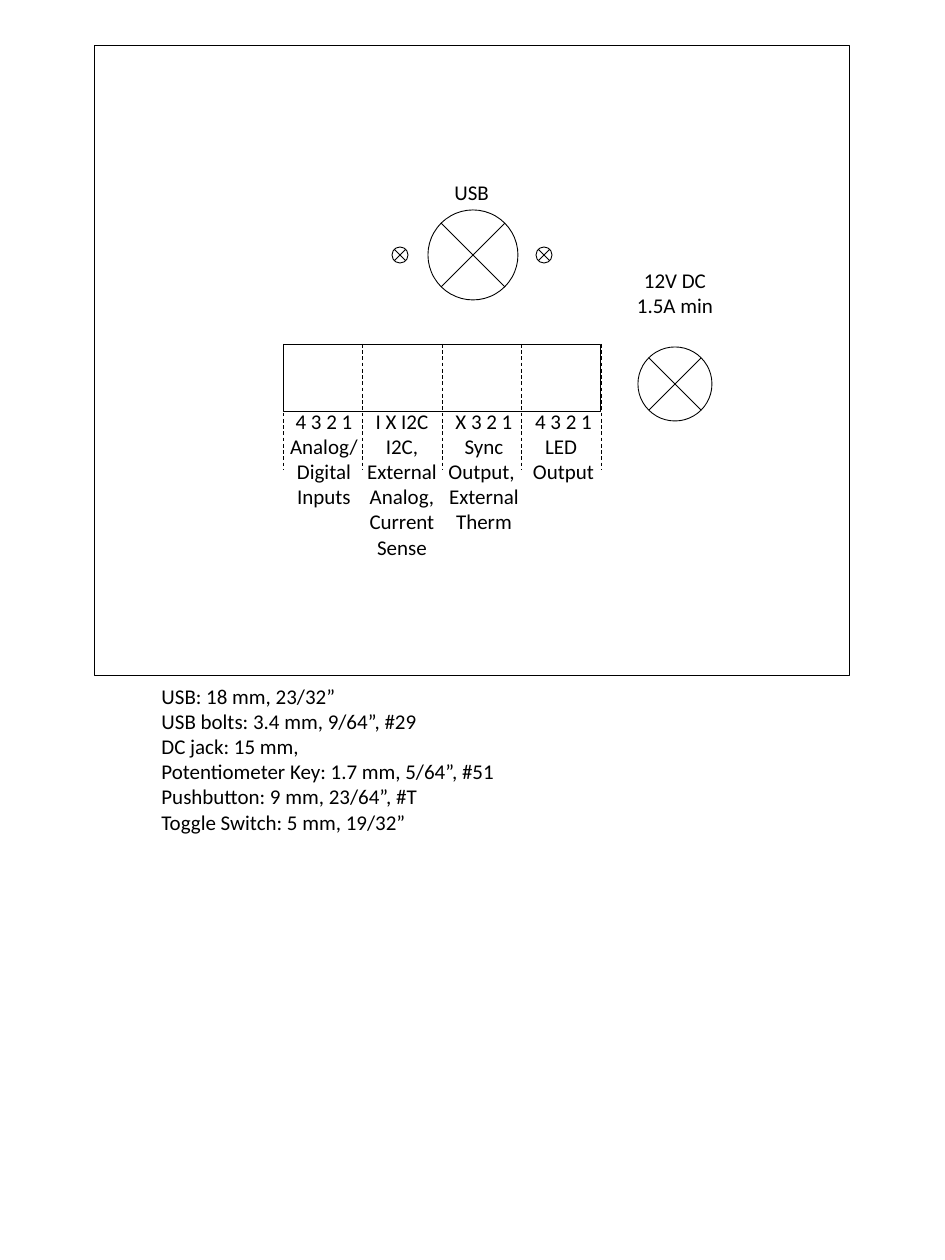
"""Draws the drill plan of a rear panel with its port labels and hole sizes."""
from dataclasses import dataclass
from lxml.etree import SubElement
from pptx import Presentation
from pptx.dml.color import RGBColor
from pptx.enum.dml import MSO_LINE as Dash
from pptx.enum.shapes import MSO_CONNECTOR as Conn, MSO_SHAPE as Kind
from pptx.enum.text import PP_ALIGN as Align
from pptx.oxml.ns import qn
from pptx.util import Pt


@dataclass
class Theme:
    ink: RGBColor = RGBColor(0, 0, 0)
    font: str = "Calibri"
    size: int = 12
    line: float = 0.5


theme = Theme()
PX = 914400 / 126

deck = Presentation()
deck.slide_width, deck.slide_height = round(945 * PX), round(1260 * PX)
slide = deck.slides.add_slide(deck.slide_layouts[6])
shapes = slide.shapes


def draw(kind, *box):
    spots = [round(n * PX) for n in box]
    if isinstance(kind, Kind):
        item = shapes.add_shape(kind, *spots)
        item.shadow.inherit = False
        item.fill.background()
    else:
        item = shapes.add_connector(kind, *spots)
        SubElement(item._element.spPr, qn("a:effectLst"))
    item.line.color.rgb = theme.ink
    item.line.width = Pt(theme.line)
    return item


def write(lines, box, align=Align.CENTER, wrap=True):
    frame = shapes.add_textbox(*(round(n * PX) for n in box)).text_frame
    frame.word_wrap = wrap
    for i, line in enumerate(lines):
        para = frame.add_paragraph() if i else frame.paragraphs[0]
        para.alignment = align
        run = para.add_run()
        run.text = line
        run.font.name = theme.font
        run.font.size = Pt(theme.size)
        run.font.color.rgb = theme.ink


sizes = [
    "USB: 18 mm, 23/32”",
    "USB bolts: 3.4 mm, 9/64”, #29",
    "DC jack: 15 mm,",
    "Potentiometer Key: 1.7 mm, 5/64”, #51",
    "Pushbutton: 9 mm, 23/64”, #T",
    "Toggle Switch: 5 mm, 19/32”",
]
write(sizes, (149, 677, 634, 165), Align.LEFT)
draw(Kind.RECTANGLE, 94, 46, 756, 630)

holes = [(675, 384, 74), (473, 255, 90), (400, 255, 16), (544, 255, 16)]
for x, y, wide in holes:
    draw(Kind.OVAL, x - wide / 2, y - wide / 2, wide, wide)
    arm = round(wide / 8 ** 0.5)
    for side in (arm, -arm):
        draw(Conn.STRAIGHT, x + side, y - arm, x - side, y + arm)

left, top, width = 283, 344, 318
block = draw(Kind.RECTANGLE, left, top, width, 67)
for i in range(5):
    x = left + i * width / 4
    rule = draw(Conn.STRAIGHT, x, top, x, top + 126)
    rule.line.dash_style = Dash.DASH
    if i == 2:
        rule.begin_connect(block, 0)

write(["USB"], (442, 173, 60, 38), Align.LEFT, False)
write(["12V DC", "1.5A min"], (624, 261, 102, 63), wrap=False)

ports = [
    (275, 98, 140, ["4 3 2 1", "Analog/", "Digital", "Inputs"]),
    (353, 98, 190, ["I X I2C", "I2C,", "External", "Analog,", "Current", "Sense"]),
    (435, 98, 140, ["X 3 2 1", "Sync Output, ", "External", "Therm"]),
    (518, 91, 89, ["4 3 2 1", "LED ", "Output"]),
]
for x, wide, high, lines in ports:
    write(lines, (x, 402, wide, high))

deck.save("out.pptx")
